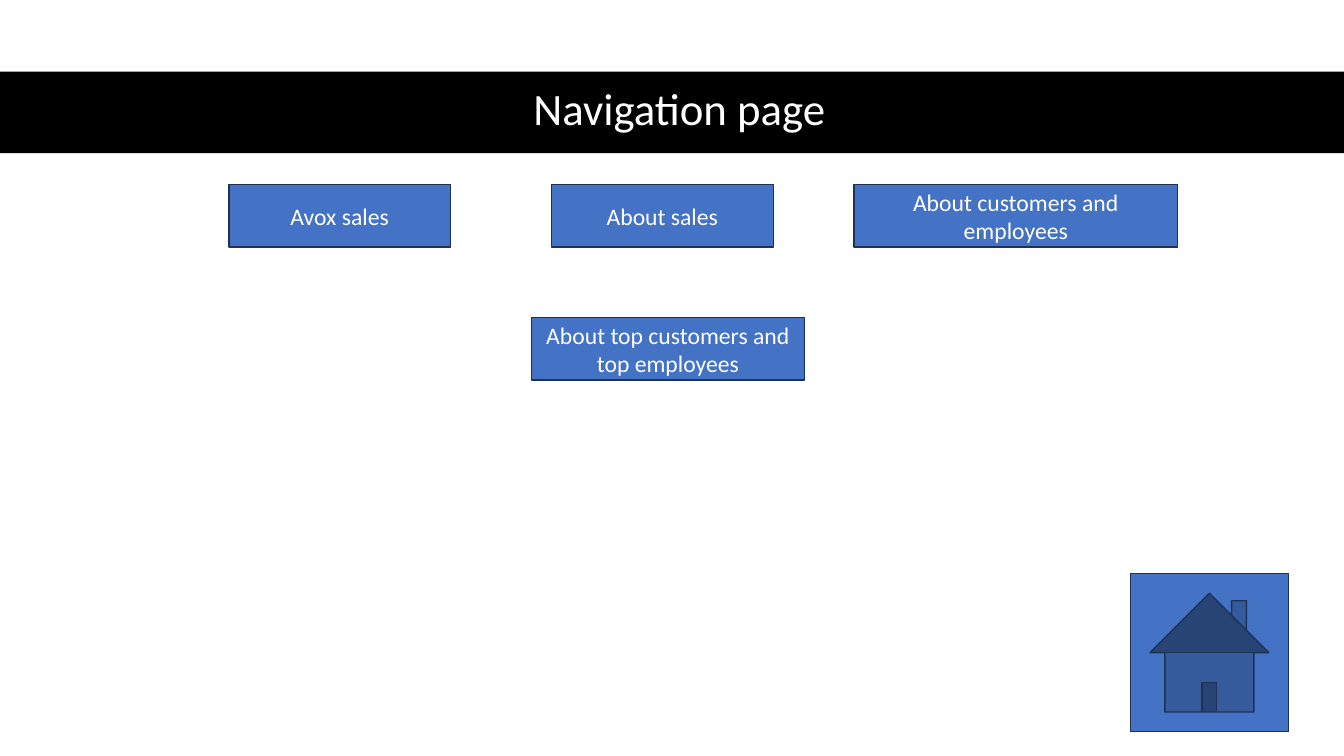
from pptx import Presentation
from pptx.dml.color import RGBColor
from pptx.enum.shapes import MSO_SHAPE
from pptx.enum.text import MSO_ANCHOR, PP_ALIGN
from pptx.util import Inches, Pt

# Content
TITLE = "Navigation page"
ROW_TOP, NEXT_TOP, BUTTON_HEIGHT = 1.83, 3.15, 0.62
BUTTONS = [  # label, left, top, width
    ("Avox sales", 2.27, ROW_TOP, 2.2),
    ("About sales", 5.47, ROW_TOP, 2.2),
    ("About customers and employees", 8.47, ROW_TOP, 3.21),
    ("About top customers and top employees", 5.27, NEXT_TOP, 2.71),
]
HOME = (11.21, 5.69, 1.57, 1.57)
COLORS = {"band": "000000", "button": "4472C4", "edge": "1E3256", "text": "FFFFFF"}
FONT = "Calibri"


def color(name):
    return RGBColor.from_string(COLORS[name])


def add_box(slide, kind, box, fill, edge=None):
    shape = slide.shapes.add_shape(kind, *map(Inches, box))
    shape.shadow.inherit = False
    shape.fill.solid()
    shape.fill.fore_color.rgb = color(fill)
    if edge:
        shape.line.color.rgb = color(edge)
        shape.line.width = Pt(1)
    else:
        shape.line.fill.background()
    return shape


def write(shape, text, size):
    frame = shape.text_frame
    frame.word_wrap = True
    frame.vertical_anchor = MSO_ANCHOR.MIDDLE
    frame.text = text
    line = frame.paragraphs[0]
    line.alignment = PP_ALIGN.CENTER
    font = line.runs[0].font
    font.name, font.size = FONT, Pt(size)
    font.color.rgb = color("text")
    return line


def main():
    deck = Presentation()
    deck.slide_width, deck.slide_height = Inches(13.33), Inches(7.5)
    slide = deck.slides.add_slide(deck.slide_layouts[6])

    # Title band
    add_box(slide, MSO_SHAPE.RECTANGLE, (0, 0.71, 13.33, 0.81), "band")
    title = slide.shapes.add_textbox(*map(Inches, (0.61, 0.7, 12.26, 0.81)))
    write(title, TITLE, 32).line_spacing = 0.9

    # Navigation buttons
    for label, left, top, width in BUTTONS:
        box = (left, top, width, BUTTON_HEIGHT)
        button = add_box(slide, MSO_SHAPE.ACTION_BUTTON_CUSTOM, box, "button", "edge")
        write(button, label, 16.9).space_after = Pt(6)

    # Home button
    add_box(slide, MSO_SHAPE.ACTION_BUTTON_HOME, HOME, "button", "edge")

    deck.save("out.pptx")


if __name__ == "__main__":
    main()
